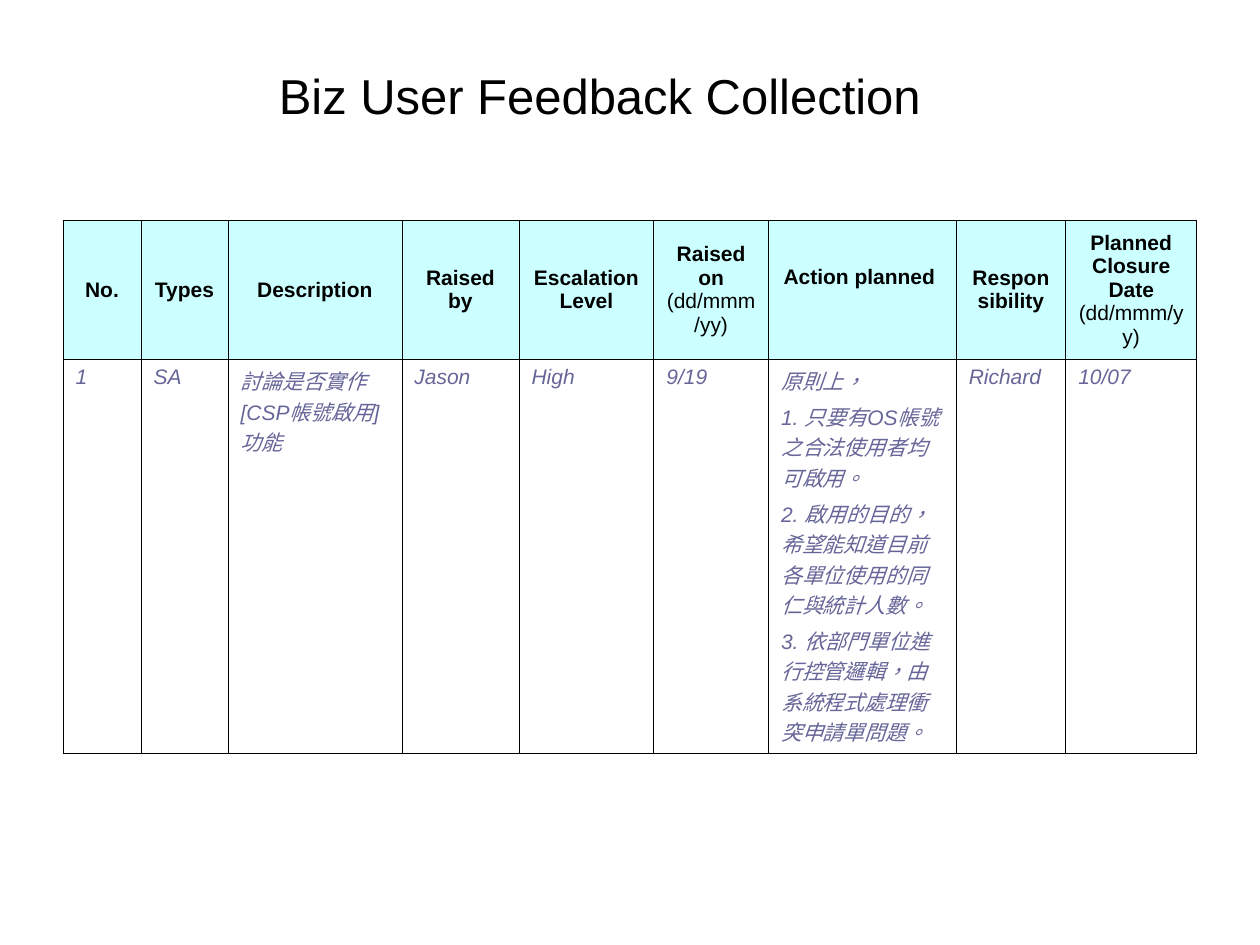
from dataclasses import dataclass

from lxml.etree import SubElement
from pptx import Presentation
from pptx.dml.color import RGBColor
from pptx.enum.text import MSO_ANCHOR as Anchor, PP_ALIGN as Align
from pptx.oxml.ns import qn
from pptx.util import Inches, Pt

FONT = "Arial"
BLACK = "000000"
HEADER_FILL = "CCFFFF"
ENTRY_COLOR = "666699"
TABLE_SIZE = 12
BORDER_WIDTH = Pt(0.45)


@dataclass
class Column:
    width: float
    heading: str
    entry: list[str]
    date_format: str = ""
    break_after: bool = False
    space_before: float = 3


COLUMNS = [
    Column(0.62, "No.", ["1"], space_before=0),
    Column(0.69, "Types", ["SA"], space_before=0),
    Column(1.38, "Description", ["討論是否實作[CSP帳號啟用]功能"], space_before=0),
    Column(0.93, "Raised by", ["Jason"]),
    Column(1.07, "Escalation Level", ["High"]),
    Column(0.91, "Raised on", ["9/19"], "(dd/mmm/yy)", True),
    Column(1.49, "Action planned ", [
        "原則上，",
        "1. 只要有OS帳號之合法使用者均可啟用。",
        "2. 啟用的目的，希望能知道目前各單位使用的同仁與統計人數。",
        "3. 依部門單位進行控管邏輯，由系統程式處理衝突申請單問題。",
    ], break_after=True),
    Column(0.87, "Responsibility", ["Richard"]),
    Column(1.04, "Planned Closure Date", ["10/07"], "(dd/mmm/yy)", True),
]
ROW_HEIGHTS = [1.1, 2.63]


def color(value: str) -> RGBColor:
    return RGBColor.from_string(value)


def add_span(para, text: str, size: float, hue: str = BLACK,
             bold: bool = False, italic: bool = False) -> None:
    span = para.add_run()
    span.text = text
    font = span.font
    font.name, font.size = FONT, Pt(size)
    font.bold, font.italic = bold, italic
    font.color.rgb = color(hue)
    span._r.get_or_add_rPr().set("lang", "zh-TW")


def add_sized_break(para, size: int) -> None:
    """Break the line and keep the text size on the line that follows."""
    para.add_line_break()
    SubElement(para._p[-1], qn("a:rPr"), sz=str(size * 100))


def add_borders(cell) -> None:
    """Put a thin line on all four sides; call before setting the fill."""
    properties = cell._tc.get_or_add_tcPr()
    for side in ("a:lnL", "a:lnR", "a:lnT", "a:lnB"):
        line = SubElement(properties, qn(side), w=str(int(BORDER_WIDTH)))
        fill = SubElement(line, qn("a:solidFill"))
        SubElement(fill, qn("a:srgbClr"), val=BLACK)


def fill_heading(cell, column: Column) -> None:
    add_borders(cell)
    cell.fill.solid()
    cell.fill.fore_color.rgb = color(HEADER_FILL)
    cell.vertical_anchor = Anchor.MIDDLE
    para = cell.text_frame.paragraphs[0]
    para.alignment = Align.CENTER
    add_span(para, column.heading, TABLE_SIZE, bold=True)
    if column.break_after:
        add_sized_break(para, TABLE_SIZE)
    if column.date_format:
        add_span(para, column.date_format, TABLE_SIZE)
    SubElement(para._p, qn("a:endParaRPr"), sz=str(TABLE_SIZE * 100))


def fill_entry(cell, column: Column) -> None:
    add_borders(cell)
    cell.fill.background()
    cell.vertical_anchor = Anchor.TOP
    frame = cell.text_frame
    for index, text in enumerate(column.entry):
        para = frame.add_paragraph() if index else frame.paragraphs[0]
        para.space_before = Pt(column.space_before)
        add_span(para, text, TABLE_SIZE, ENTRY_COLOR, italic=True)


def add_title(page, text: str) -> None:
    box = page.shapes.add_textbox(Inches(0.43), Inches(0.52), Inches(8.66), Inches(0.52))
    frame = box.text_frame
    frame.word_wrap = True
    frame.margin_left = frame.margin_right = frame.margin_top = frame.margin_bottom = 0
    para = frame.paragraphs[0]
    para.alignment = Align.CENTER
    add_span(para, text, 28)


def add_feedback_table(page) -> None:
    table = page.shapes.add_table(
        len(ROW_HEIGHTS), len(COLUMNS), Inches(0.5), Inches(1.75),
        Inches(sum(column.width for column in COLUMNS)), Inches(sum(ROW_HEIGHTS)),
    ).table
    table.first_row = table.horz_banding = False
    for row, height in zip(table.rows, ROW_HEIGHTS):
        row.height = Inches(height)
    for index, column in enumerate(COLUMNS):
        table.columns[index].width = Inches(column.width)
        fill_heading(table.cell(0, index), column)
        fill_entry(table.cell(1, index), column)


def main() -> None:
    deck = Presentation()
    deck.slide_width, deck.slide_height = Inches(10), Inches(7.5)
    page = deck.slides.add_slide(deck.slide_layouts[6])
    add_feedback_table(page)
    add_title(page, "Biz User Feedback Collection")
    deck.save("out.pptx")


if __name__ == "__main__":
    main()
